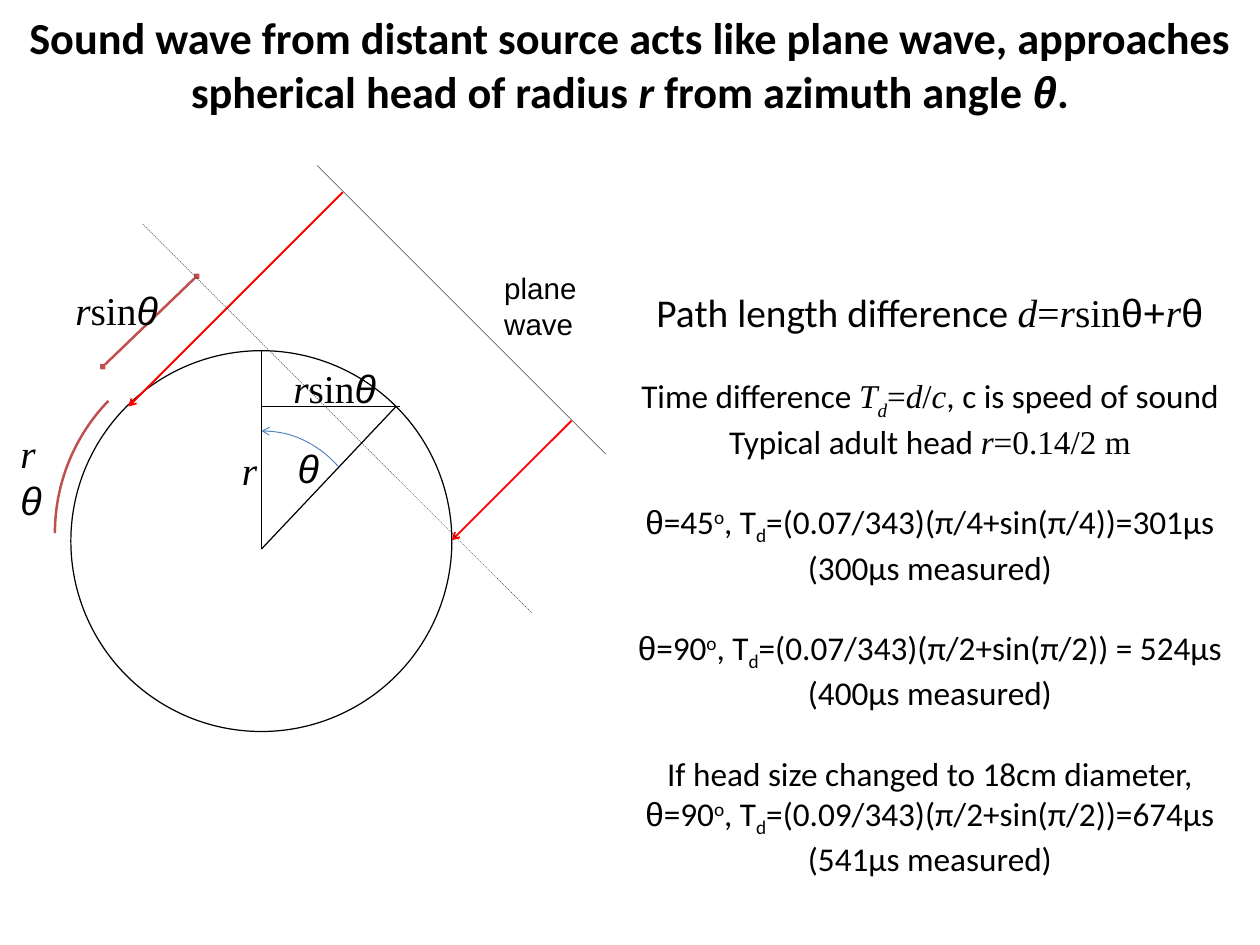
from lxml import etree
from pptx import Presentation
from pptx.dml.color import RGBColor
from pptx.enum.dml import MSO_LINE
from pptx.enum.shapes import MSO_CONNECTOR, MSO_SHAPE
from pptx.enum.text import MSO_ANCHOR, PP_ALIGN
from pptx.oxml.ns import qn
from pptx.util import Pt

STRAIGHT = MSO_CONNECTOR.STRAIGHT
OVAL, ARC = MSO_SHAPE.OVAL, MSO_SHAPE.ARC
DASH = MSO_LINE.DASH
TOP, MIDDLE = MSO_ANCHOR.TOP, MSO_ANCHOR.MIDDLE
LEFT, CENTER = PP_ALIGN.LEFT, PP_ALIGN.CENTER
PX = 9144

THEME = {
    "black": RGBColor(0, 0, 0),
    "red": RGBColor(0xFF, 0, 0),
    "brick": RGBColor(0xC0, 0x50, 0x4D),
    "blue": RGBColor(0x4B, 0x7E, 0xBC),
    "title": Pt(36), "symbol": Pt(32), "body": Pt(27), "label": Pt(24),
}
CAL, ARI, TIM = ({"name": n} for n in ("Calibri", "Arial", "Times New Roman"))
BOLD = {**CAL, "bold": True}
ARI_I, TIM_I, BOLD_I = ({**f, "italic": True} for f in (ARI, TIM, BOLD))
SUB, SUP = "-25000", "30000"


def stroke(sp, color, width, ends=(), dash=None):
    sp.line.color.rgb = THEME[color]
    sp.line.width = Pt(width)
    if dash:
        sp.line.dash_style = dash
    spPr = sp._element.spPr
    for tag, kind in zip(("a:headEnd", "a:tailEnd"), ends):
        etree.SubElement(spPr.find(qn("a:ln")), qn(tag), type=kind)
    etree.SubElement(spPr, qn("a:effectLst"))


def add_text(box, paragraphs, align=LEFT, anchor=TOP, wrap=False, margins=(14, 7)):
    sp = slide.shapes.add_textbox(*(v * PX for v in box))
    tf = sp.text_frame
    mx, my = (m * PX for m in margins)
    frame = {"word_wrap": wrap, "vertical_anchor": anchor, "margin_left": mx,
             "margin_right": mx, "margin_top": my, "margin_bottom": my}
    for key, value in frame.items():
        setattr(tf, key, value)
    for i, (size, gap, runs) in enumerate(paragraphs):
        p = tf.add_paragraph() if i else tf.paragraphs[0]
        p.alignment = align
        if gap:
            p.space_before = Pt(gap)
        for text, font, *baseline in runs:
            r = p.add_run()
            r.text = text
            for key, value in {"size": THEME[size], **font}.items():
                setattr(r.font, key, value)
            r.font.color.rgb = THEME["black"]
            if baseline:
                r._r.get_or_add_rPr().set("baseline", baseline[0])


prs = Presentation()
prs.slide_width, prs.slide_height = 1422 * PX, 1067 * PX
slide = prs.slides.add_slide(prs.slide_layouts[6])

add_text((0, 0, 1422, 144), [("title", 0, [
    ("Sound wave from distant source acts like plane wave, approaches spherical head of radius ", BOLD),
    ("r", BOLD_I), (" from azimuth angle ", BOLD),
    ("θ", {**ARI_I, "bold": True}), (".", BOLD)])], CENTER, MIDDLE, True)

curves = [
    (OVAL, (80, 396, 430, 430), 0, (), "black", 1, ()),
    (ARC, (174, 491, 242, 233), 270, (0, 47), "blue", 0.75, ("arrow",)),
    (ARC, (62, 387, 430, 430), 0, (180, 224), "brick", 2, ()),
]
for kind, box, turn, angles, color, width, ends in curves:
    sp = slide.shapes.add_shape(kind, *(v * PX for v in box))
    sp.rotation = turn
    for i, degrees in enumerate(angles):
        sp.adjustments[i] = degrees * 0.6
    sp.fill.background()
    stroke(sp, color, width, ends)

lines = [
    ((295, 396, 295, 620), "black", 0.25, (), None),
    ((295, 620, 447, 459), "black", 1, (), None),
    ((358, 187, 684, 513), "black", 0.25, (), None),
    ((295, 459, 451, 459), "black", 1, (), None),
    ((510, 610, 645, 475), "red", 1.5, ("arrow",), None),
    ((145, 459, 387, 217), "red", 1.5, ("arrow",), None),
    ((116, 414, 222, 312), "brick", 2, ("diamond", "diamond"), None),
    ((161, 253, 600, 692), "black", 0.25, (), DASH),
]
for points, color, width, ends, dash in lines:
    sp = slide.shapes.add_connector(STRAIGHT, *(v * PX for v in points))
    stroke(sp, color, width, ends, dash)

r_sin_theta = [("r", TIM_I), ("sin", TIM), ("θ", ARI_I)]
labels = [
    ((322, 495, 52, 68), [("θ", ARI_I)], False),
    ((317, 404, 122, 68), r_sin_theta, False),
    ((71, 316, 122, 68), r_sin_theta, False),
    ((259, 497, 46, 68), [("r", TIM_I)], False),
    ((9, 477, 64, 120), [("r", TIM_I), ("θ", ARI_I)], True),
]
for box, runs, wrap in labels:
    add_text(box, [("symbol", 0, runs)], wrap=wrap)
add_text((555, 298, 121, 95), [("label", 0, [(word, ARI)]) for word in ("plane", "wave")])

GAP = 33
equations = [
    ("symbol", 0, [("Path length difference ", CAL), ("d", TIM_I), ("=", TIM), ("r", TIM_I),
                   ("sin", TIM), ("θ+", ARI), ("r", TIM_I), ("θ", ARI)]),
    ("body", GAP, [("Time difference ", CAL), ("T", TIM_I), ("d", TIM_I, SUB), ("=", TIM),
                   ("d", TIM_I), ("/", TIM), ("c", TIM_I), (", c is speed of sound", CAL)]),
    ("body", 0, [("Typical adult head ", CAL), ("r", TIM_I), ("=0.14/2 m", TIM)]),
]
cases = [
    ("", "45", "=(0.07/343)(π/4+sin(π/4))=301µs", "300"),
    ("", "90", "=(0.07/343)(π/2+sin(π/2)) = 524µs", "400"),
    ("If head size changed to 18cm diameter,", "90", "=(0.09/343)(π/2+sin(π/2))=674µs", "541"),
]
for intro, angle, result, measured in cases:
    if intro:
        equations.append(("body", GAP, [(intro, CAL)]))
    equations += [
        ("body", 0 if intro else GAP, [("θ", ARI), ("=" + angle, CAL), ("o", CAL, SUP),
                                       (", T", CAL), ("d", CAL, SUB), (result, CAL)]),
        ("body", 0, [(f"({measured}µs measured)", CAL)]),
    ]
add_text((698, 320, 703, 655), equations, CENTER, wrap=True, margins=(10, 5))

prs.save("out.pptx")
